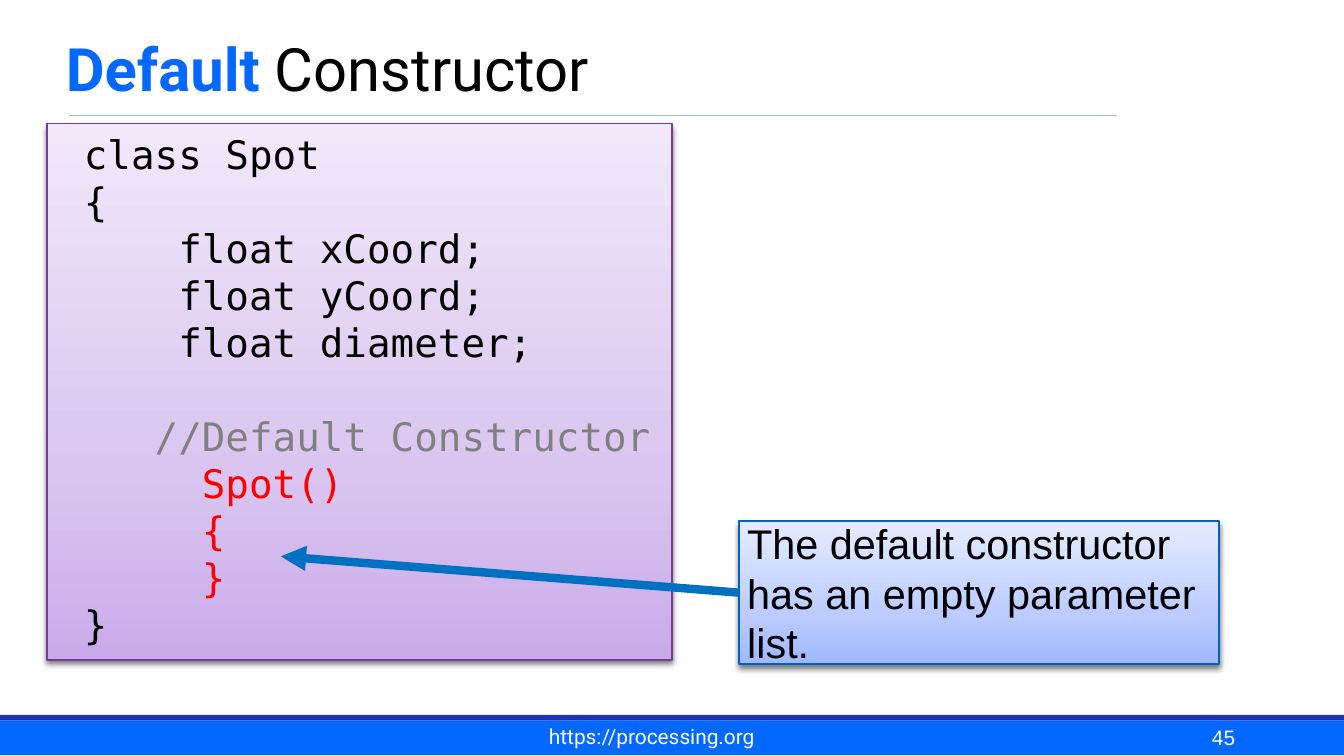
from lxml.etree import SubElement
from pptx import Presentation
from pptx.dml.color import RGBColor
from pptx.enum.shapes import MSO_CONNECTOR, MSO_SHAPE
from pptx.enum.text import MSO_ANCHOR, MSO_AUTO_SIZE, PP_ALIGN
from pptx.oxml.ns import qn
from pptx.util import Inches, Pt

COLORS = {
    "blue": "0368FF", "navy": "1F33AB", "rule": "94BBE7", "purple": "753B9A",
    "border": "0063BF", "arrow": "0070C0", "black": "000000", "white": "FFFFFF",
    "comment": "808080", "red": "FF0000",
}
CODE_GRADIENT = ("CAABEA", "D9C5EF", "F1E8FA")
NOTE_GRADIENT = ("A0B8FF", "BCCCFF", "E5EBFF")
CODE_SIZE = 21
CHAR_WIDTH = CODE_SIZE * 0.602 / 72  # inches per monospaced character


def rgb(name):
    return RGBColor.from_string(COLORS[name])


def add_text(p, text, size=11.2, font="Arial", color="black", bold=False):
    r = p.add_run()
    r.text = text
    r.font.size, r.font.name, r.font.bold = Pt(size), font, bold
    r.font.color.rgb = rgb(color)


class SlideBuilder:
    def __init__(self, prs):
        self.s = prs.slides.add_slide(prs.slide_layouts[5])

    def frame(self, sp, anchor, insets):
        tf = sp.text_frame
        tf.word_wrap, tf.auto_size = True, MSO_AUTO_SIZE.NONE
        tf.vertical_anchor = anchor
        tf.margin_left = tf.margin_right = Inches(insets[0])
        tf.margin_top = tf.margin_bottom = Inches(insets[1])
        return tf

    def shadow(self, sp):
        effects = SubElement(sp._element.spPr, qn("a:effectLst"))
        outer = SubElement(effects, qn("a:outerShdw"), blurRad=str(Pt(3)),
                           dist=str(Pt(2)), dir=str(90 * 60000), rotWithShape="0")
        clr = SubElement(outer, qn("a:srgbClr"), val=COLORS["black"])
        SubElement(clr, qn("a:alpha"), val="50000")

    def title(self, box, parts):
        sp = self.s.shapes.title
        sp.left, sp.top, sp.width, sp.height = map(Inches, box)
        p = self.frame(sp, MSO_ANCHOR.BOTTOM, (0.06, 0.06)).paragraphs[0]
        p.alignment = PP_ALIGN.LEFT
        for text, style in parts:
            add_text(p, text, size=32, font="Roboto", **style)

    def bar(self, box, color):
        sp = self.s.shapes.add_shape(MSO_SHAPE.RECTANGLE, *map(Inches, box))
        sp.shadow.inherit = False
        sp.fill.solid()
        sp.fill.fore_color.rgb = rgb(color)
        sp.line.fill.background()

    def panel(self, box, gradient, border, width, anchor, insets):
        sp = self.s.shapes.add_shape(MSO_SHAPE.RECTANGLE, *map(Inches, box))
        sp.fill.gradient()
        grad = sp._element.spPr.find(qn("a:gradFill"))
        stops = grad.find(qn("a:gsLst"))
        stops.clear()
        for pos, color in zip((0, 35, 100), gradient):
            gs = SubElement(stops, qn("a:gs"), pos=str(pos * 1000))
            SubElement(gs, qn("a:srgbClr"), val=color)
        grad.find(qn("a:lin")).set("ang", str(270 * 60000))
        sp.line.color.rgb, sp.line.width = rgb(border), Pt(width)
        self.shadow(sp)
        tf = self.frame(sp, anchor, insets)
        tf.paragraphs[0].alignment = PP_ALIGN.LEFT
        return tf

    def line(self, start, end, color, width, arrow=False):
        cn = self.s.shapes.add_connector(MSO_CONNECTOR.STRAIGHT,
                                         *map(Inches, start + end))
        cn.line.color.rgb, cn.line.width = rgb(color), Pt(width)
        if arrow:
            SubElement(cn.line._get_or_add_ln(), qn("a:tailEnd"), type="triangle")
        SubElement(cn._element.spPr, qn("a:effectLst"))

    def label(self, box, text, align, insets, font="Arial"):
        sp = self.s.shapes.add_textbox(*map(Inches, box))
        p = self.frame(sp, MSO_ANCHOR.BOTTOM, insets).paragraphs[0]
        p.alignment = align
        add_text(p, text, font=font, color="white")

    def code(self, tf, lines):
        for i, (indent, text, color, gap) in enumerate(lines):
            p = tf.paragraphs[0] if i == 0 else tf.add_paragraph()
            p.alignment = PP_ALIGN.LEFT
            p.space_before = Pt(gap)
            pPr = p._p.get_or_add_pPr()
            pPr.set("marL", str(Inches(indent * CHAR_WIDTH)))
            pPr.set("indent", "0")
            add_text(p, text, CODE_SIZE, "DejaVu Sans Mono", color)


def main():
    prs = Presentation()
    prs.slide_width = Inches(10)
    prs.slide_height = prs.slide_width * 9 // 16
    b = SlideBuilder(prs)

    # Footer bars, title and its rule
    b.bar((0, 5.36, 10, 0.26), "blue")
    b.bar((0, 5.32, 10, 0.04), "navy")
    b.line((0.51, 0.86), (8.31, 0.86), "rule", 1)
    b.title((0.43, 0, 8.5, 0.83), [("Default", dict(color="blue", bold=True)),
                                   (" Constructor", {})])

    # Code panel: indent in characters, text, colour, space before in points
    tf = b.panel((0.35, 0.92, 4.65, 3.99), CODE_GRADIENT, "purple", 0.75,
                 MSO_ANCHOR.TOP, (0.1, 0.05))
    b.code(tf, [
        (1, "class Spot", "black", 0),
        (1, "{", "black", 0),
        (5, "float xCoord;", "black", 0),
        (5, "float yCoord;", "black", 0),
        (5, "float diameter;", "black", 0),
        (4, "//Default Constructor", "comment", 25.2),
        (6, "Spot()", "red", 0),
        (6, "{", "red", 0),
        (6, "}", "red", 0),
        (1, "}", "black", 0),
    ])

    # Callout and arrow
    tf = b.panel((5.5, 3.88, 3.57, 1.06), NOTE_GRADIENT, "border", 1,
                 MSO_ANCHOR.MIDDLE, (0.06, 0.06))
    p = tf.paragraphs[0]
    p.space_before = Pt(3.8)
    add_text(p, "The default constructor has an empty parameter list.", 22.2)
    b.line((5.5, 4.41), (2.09, 4.14), "arrow", 4.5, arrow=True)

    # Footer text
    b.label((3.52, 5.35, 2.66, 0.26), "https://processing.org", PP_ALIGN.CENTER,
            (0.08, 0.04), font="Roboto")
    b.label((7.17, 5.33, 2.08, 0.31), "45", PP_ALIGN.RIGHT, (0.06, 0.06))
    prs.save("out.pptx")


if __name__ == "__main__":
    main()
